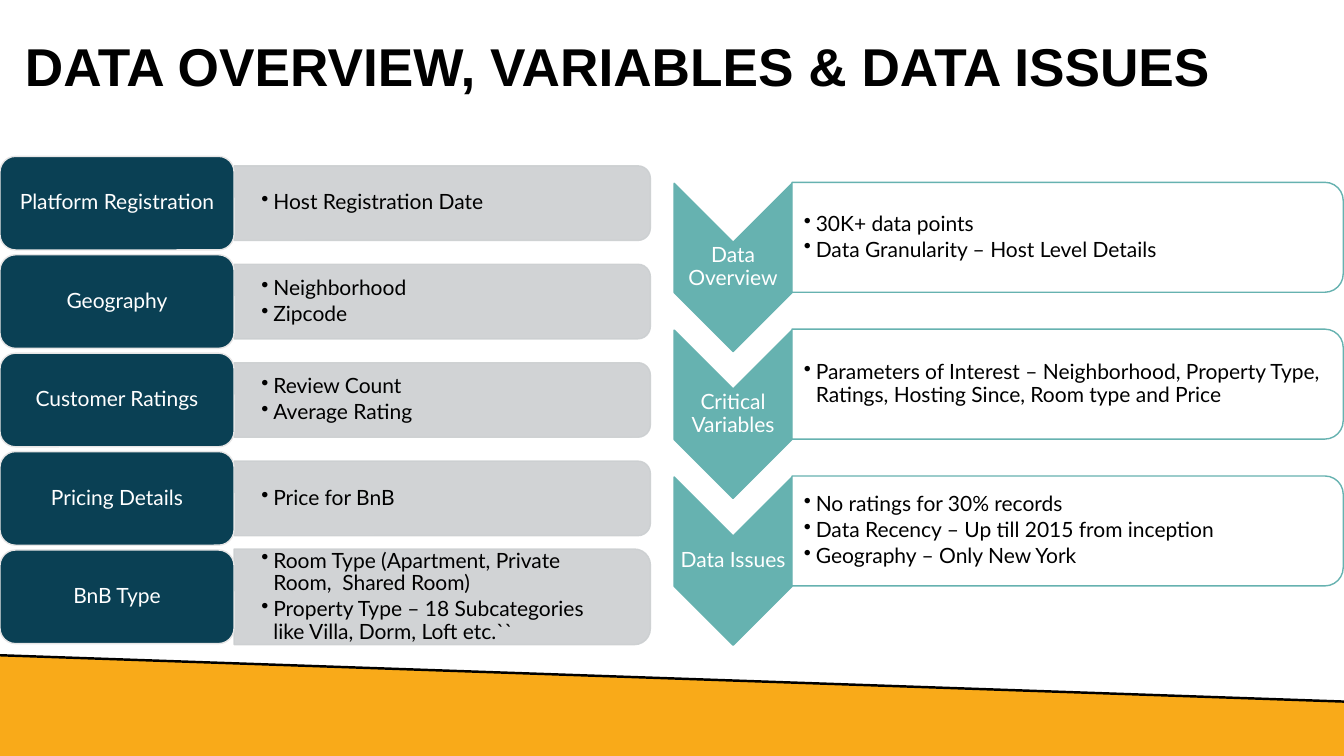
import pptx
import pptx.dml.color
import pptx.enum.shapes
import pptx.enum.text
import pptx.oxml
import pptx.oxml.ns
import pptx.util

Cm = pptx.util.Cm
Pt = pptx.util.Pt
PRESET = pptx.enum.shapes.MSO_SHAPE
ALIGN = pptx.enum.text.PP_ALIGN
ANCHOR = pptx.enum.text.MSO_ANCHOR

COLORS = {
    "amber": "F9AA19",
    "black": "000000",
    "white": "FFFFFF",
    "teal": "66B2B0",
    "navy": "0A4054",
    "silver": "CCCFD1",
    "edge": "E7E6E6",
}

TITLE = {"size": Pt(38), "name": "Arial", "bold": True}
BODY = {"size": Pt(15), "name": "Lato"}

FIELDS = [
    ("Platform Registration", ["Host Registration Date"], 1.88),
    ("Geography", ["Neighborhood", "Zipcode"], 1.88),
    ("Customer Ratings", ["Review Count", "Average Rating"], 1.88),
    ("Pricing Details", ["Price for BnB"], 1.88),
    ("BnB Type", [
        "Room Type (Apartment, Private Room,  Shared Room)",
        "Property Type – 18 Subcategories like Villa, Dorm, Loft etc.``",
    ], 2.41),
]

STEPS = [
    ("Data Overview", ["30K+ data points", "Data Granularity – Host Level Details"]),
    ("Critical Variables", [
        "Parameters of Interest – Neighborhood, Property Type, Ratings, "
        "Hosting Since, Room type and Price",
    ]),
    ("Data Issues", [
        "No ratings for 30% records",
        "Data Recency – Up till 2015 from inception",
        "Geography – Only New York",
    ]),
]


def rgb(color):
    return pptx.dml.color.RGBColor.from_string(COLORS[color])


def apply(target, values):
    for name, value in values.items():
        setattr(target, name, value)


class SlidePainter:
    def __init__(self, slide):
        self.slide = slide
        self.bullet_indent = Cm(0.3)

    def paint(self, shape, fill, edge=None, translucent=()):
        shape.shadow.inherit = False
        shape.fill.solid()
        shape.fill.fore_color.rgb = rgb(fill)
        if edge:
            shape.line.color.rgb = rgb(edge)
            shape.line.width = Pt(1)
        else:
            shape.line.fill.background()
        for part in translucent:
            for color in shape.element.spPr.xpath(part + "/a:srgbClr"):
                alpha = pptx.oxml.parse_xml(
                    f'<a:alpha {pptx.oxml.ns.nsdecls("a")} val="90000"/>'
                )
                color.append(alpha)

    def block(self, preset, left, middle, width, height, fill, edge,
              turned=False, translucent=()):
        center = left + width / 2
        if turned:
            width, height = height, width
        shape = self.slide.shapes.add_shape(
            preset, Cm(center - width / 2), Cm(middle - height / 2),
            Cm(width), Cm(height),
        )
        shape.rotation = 90 if turned else 0
        self.paint(shape, fill, edge, translucent)

    def band(self, corners, fill):
        builder = self.slide.shapes.build_freeform(
            Cm(corners[0][0]), Cm(corners[0][1])
        )
        builder.add_line_segments([(Cm(x), Cm(y)) for x, y in corners[1:]])
        self.paint(builder.convert_to_shape(), fill)

    def rule(self, start, end, color, weight):
        line = self.slide.shapes.add_connector(
            pptx.enum.shapes.MSO_CONNECTOR.STRAIGHT,
            Cm(start[0]), Cm(start[1]), Cm(end[0]), Cm(end[1]),
        )
        line.line.color.rgb = rgb(color)
        line.line.width = Pt(weight)
        line.element.spPr.append(
            pptx.oxml.parse_xml(f'<a:effectLst {pptx.oxml.ns.nsdecls("a")}/>')
        )

    def text(self, lines, left, middle, width, height, color, font=BODY,
             align=ALIGN.CENTER, insets=(0.03, 0.03, 0.03, 0.03), bullets=False):
        box = self.slide.shapes.add_textbox(
            Cm(left), Cm(middle - height / 2), Cm(width), Cm(height)
        )
        frame = box.text_frame
        sides = ("margin_left", "margin_top", "margin_right", "margin_bottom")
        apply(frame, {"word_wrap": True, "vertical_anchor": ANCHOR.MIDDLE})
        apply(frame, {side: Cm(inset) for side, inset in zip(sides, insets)})
        for index, line in enumerate(lines):
            paragraph = frame.paragraphs[0] if index == 0 else frame.add_paragraph()
            apply(paragraph, {"alignment": align, "line_spacing": 0.9})
            if bullets:
                self.bullet(paragraph)
            run = paragraph.add_run()
            run.text = line
            apply(run.font, font)
            run.font.color.rgb = rgb(color)

    def bullet(self, paragraph):
        apply(paragraph, {"level": 1, "space_after": Pt(2.25)})
        properties = paragraph._p.get_or_add_pPr()
        properties.set("marL", str(self.bullet_indent))
        properties.set("indent", str(-self.bullet_indent))
        properties.append(pptx.oxml.parse_xml(
            f'<a:buChar {pptx.oxml.ns.nsdecls("a")} char="•"/>'
        ))

    def field(self, name, details, middle, bar_height):
        self.block(PRESET.ROUND_2_SAME_RECTANGLE, 5.9, middle, 10.49, bar_height,
                   "silver", "silver", turned=True,
                   translucent=("a:solidFill", "a:ln/a:solidFill"))
        self.text(details, 5.9, middle, 10.4, bar_height - 0.2, "black",
                  align=ALIGN.LEFT, insets=(0.69, 0.36, 0.69, 0.36), bullets=True)
        self.block(PRESET.ROUNDED_RECTANGLE, 0, middle, 5.9, 2.36, "navy", "edge")
        self.text([name], 0.12, middle, 5.66, 2.13, "white",
                  insets=(0.15, 0.08, 0.15, 0.08))

    def step(self, name, details, middle):
        self.block(PRESET.CHEVRON, 16.99, middle + 0.76, 2.97, 4.24,
                   "teal", "teal", turned=True)
        self.text([name], 16.99, middle + 0.76, 2.97, 1.27, "white")
        self.block(PRESET.ROUND_2_SAME_RECTANGLE, 19.96, middle, 13.89, 2.77,
                   "white", "teal", turned=True, translucent=("a:solidFill",))
        self.text(details, 19.96, middle, 13.77, 2.49, "black",
                  align=ALIGN.LEFT, insets=(0.3, 0.03, 0.03, 0.03), bullets=True)


def main():
    deck = pptx.Presentation()
    apply(deck, {"slide_width": Cm(33.87), "slide_height": Cm(19.05)})
    painter = SlidePainter(deck.slides.add_slide(deck.slide_layouts[6]))

    slope_start, slope_end = (-0.03, 16.51), (33.91, 17.68)
    painter.band([slope_end, slope_start, (-0.03, 19.05), (33.91, 19.13)], "amber")
    painter.rule(slope_start, slope_end, "black", 1.75)
    painter.text(["DATA OVERVIEW, VARIABLES & DATA ISSUES"], 0.38, 1.74, 31.47, 3.68,
                 "black", font=TITLE, align=ALIGN.LEFT,
                 insets=(0.25, 0.13, 0.25, 0.13))

    for row, (name, details) in enumerate(STEPS):
        painter.step(name, details, 5.98 + 3.7 * row)
    for row, (name, details, bar_height) in enumerate(FIELDS):
        painter.field(name, details, 5.12 + 2.48 * row, bar_height)

    deck.save("out.pptx")


if __name__ == "__main__":
    main()
